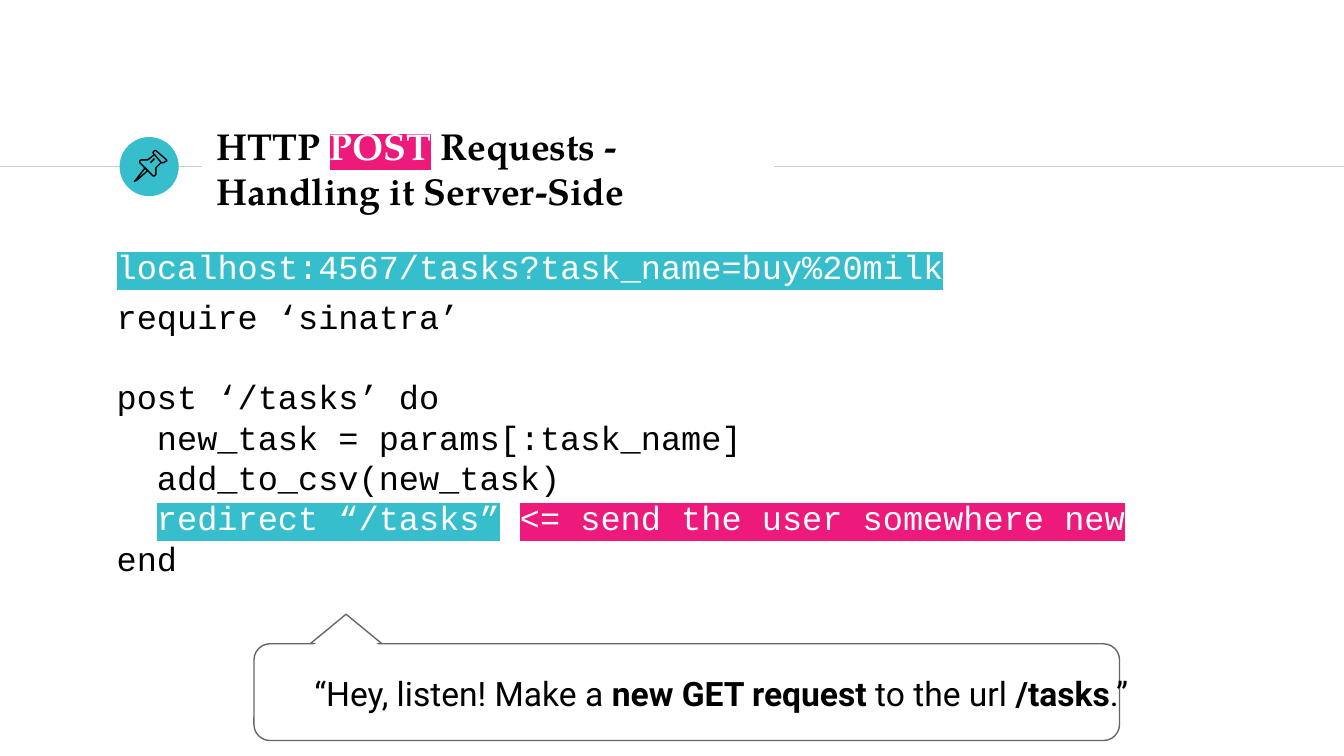
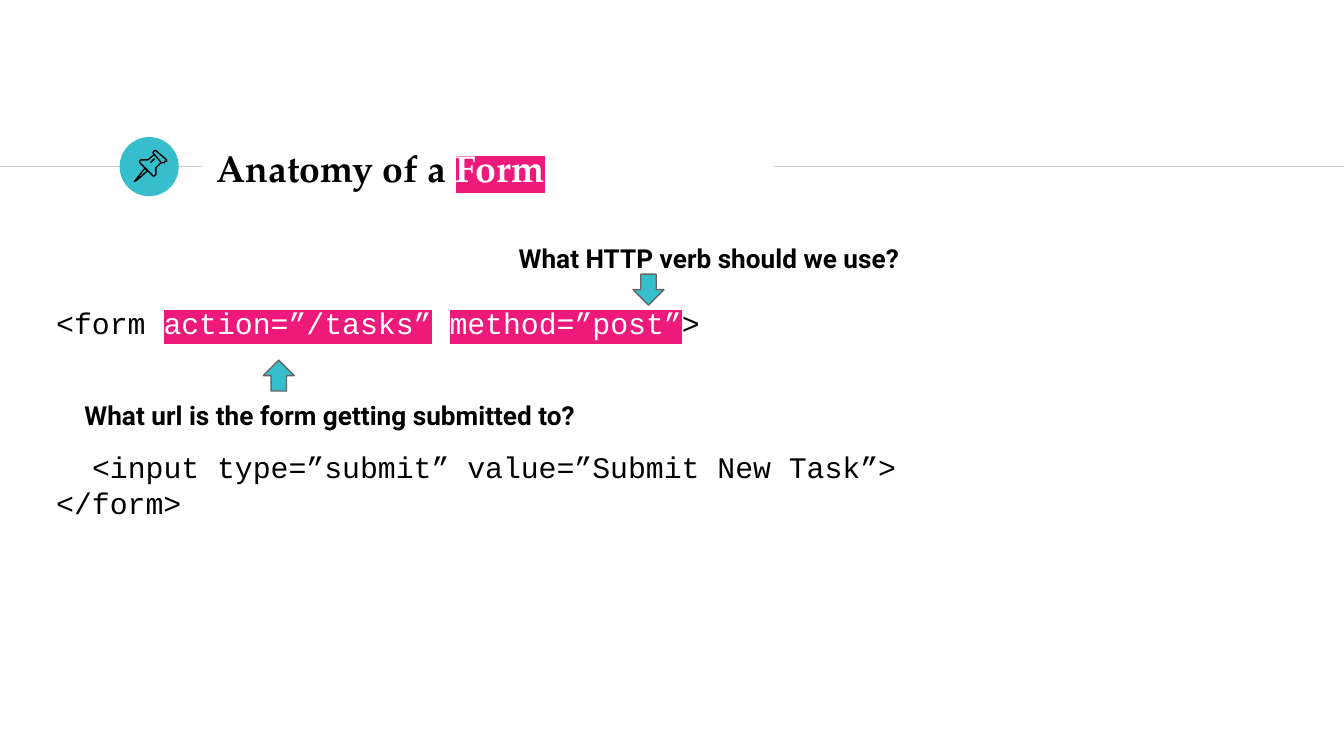
"""Build two slides on form posts and how a server handles them."""
import pptx
import pptx.util
import pptx.dml.color
import pptx.enum.shapes
import pptx.enum.text
import pptx.oxml.ns
import lxml.etree

Inches = pptx.util.Inches
Pt = pptx.util.Pt
RGBColor = pptx.dml.color.RGBColor
Shape = pptx.enum.shapes.MSO_SHAPE
Align = pptx.enum.text.PP_ALIGN
qn = pptx.oxml.ns.qn

TEAL = RGBColor(0x37, 0xBE, 0xCC)
PINK = RGBColor(0xED, 0x19, 0x7B)
BLACK = RGBColor(0, 0, 0)
WHITE = RGBColor(255, 255, 255)
GRAY = RGBColor(0x66, 0x66, 0x66)
PALE = RGBColor(0xCC, 0xCC, 0xCC)

SERIF = "TeX Gyre Pagella"
SANS = "Roboto"
MONO = "Courier New"
BOLD = "bold"

NEEDLE = [(108, 125), (101, 134), (100, 135), (102, 134), (110, 127)]
HEAD = [(115, 115), (120, 121), (122, 121), (123, 120), (124, 120), (124, 119),
        (116, 112), (115, 112), (114, 113), (114, 114)]
BODY = [(115, 115), (110, 119), (107, 119), (105, 119), (104, 120), (104, 121),
        (114, 131), (115, 131), (116, 130), (116, 128), (116, 125), (120, 121)]
SHINE = [(112, 121), (115, 118)]
PIN = [(NEEDLE, True), (HEAD, True), (BODY, False), (SHINE, False)]


class Deck:
    """Hold the deck style and the current slide."""

    def __init__(self):
        self.prs = pptx.Presentation()
        self.prs.slide_width = Inches(10)
        self.prs.slide_height = Inches(10) * 9 // 16
        self.slide = None

    def start(self, *runs):
        """Add a slide with its title, rules and pin badge."""
        self.slide = self.prs.slides.add_slide(self.prs.slide_layouts[5])
        self.rule(0, 1.5)
        self.rule(5.76, 10)
        self.shape(Shape.OVAL, (0.89, 1.02, 0.44, 0.44), TEAL)
        self.pin()
        title = self.slide.shapes.title
        title.left, title.top, title.width, title.height = map(
            Inches, (1.51, 1.01, 4.24, 0.48))
        frame = self.frame(title)
        frame.vertical_anchor = pptx.enum.text.MSO_ANCHOR.MIDDLE
        self.para(frame.paragraphs[0], runs, SERIF, 20, bold=True)

    def rule(self, left, right):
        """Draw a thin rule at title height."""
        line = self.slide.shapes.add_connector(
            pptx.enum.shapes.MSO_CONNECTOR.STRAIGHT,
            Inches(left), Inches(1.24), Inches(right), Inches(1.24))
        line.line.color.rgb = PALE
        line.line.width = Pt(0.75)
        lxml.etree.SubElement(line._element.spPr, qn("a:effectLst"))

    def shape(self, kind, box, fill, edge=None, turn=0):
        """Draw a preset shape with a plain fill."""
        shape = self.slide.shapes.add_shape(kind, *map(Inches, box))
        shape.shadow.inherit = False
        shape.fill.solid()
        shape.fill.fore_color.rgb = fill
        shape.rotation = turn
        self.edge(shape, edge)

    def edge(self, shape, color):
        """Set or clear the outline of a shape."""
        if color is None:
            shape.line.fill.background()
        else:
            shape.line.color.rgb = color
            shape.line.width = Pt(0.75)

    def pin(self):
        """Draw the push pin on the badge."""
        group = self.slide.shapes.add_group_shape()
        for points, close in PIN:
            pen = group.shapes.build_freeform(*points[0], scale=Inches(0.01))
            pen.add_line_segments(points[1:], close=close)
            part = pen.convert_to_shape()
            part.shadow.inherit = False
            part.fill.background()
            self.edge(part, BLACK)

    def frame(self, shape):
        """Give a text frame even insets and wrapping."""
        frame = shape.text_frame
        frame.word_wrap = True
        frame.auto_size = pptx.enum.text.MSO_AUTO_SIZE.NONE
        frame.margin_left = frame.margin_right = Inches(0.1)
        frame.margin_top = frame.margin_bottom = Inches(0.1)
        return frame

    def para(self, para, runs, font, size, bold=False, align=Align.LEFT):
        """Fill a paragraph from plain strings and marked pairs."""
        para.alignment = align
        para.font.name = font
        para.font.size = Pt(size)
        para.font.bold = bold
        para.font.color.rgb = BLACK
        for item in runs:
            text, mark = (item, None) if isinstance(item, str) else item
            run = para.add_run()
            run.text = text
            if mark == BOLD:
                run.font.bold = True
            elif mark is not None:
                run.font.color.rgb = WHITE
                glow = lxml.etree.SubElement(
                    run._r.get_or_add_rPr(), qn("a:highlight"))
                lxml.etree.SubElement(glow, qn("a:srgbClr"), val=str(mark))

    def text(self, box, *runs, font=SANS, size=14, bold=False,
             align=Align.LEFT):
        """Add a text box of one paragraph."""
        frame = self.frame(self.slide.shapes.add_textbox(*map(Inches, box)))
        self.para(frame.paragraphs[0], runs, font, size, bold, align)

    def code(self, box, size, lines):
        """Add code lines, each given as blank lines above, indent, runs."""
        frame = self.frame(self.slide.shapes.add_textbox(*map(Inches, box)))
        for i, (skip, depth, *runs) in enumerate(lines):
            para = frame.add_paragraph() if i else frame.paragraphs[0]
            self.para(para, runs, MONO, size)
            para.space_before = Pt(skip * size * 1.2)
            props = para._p.get_or_add_pPr()
            props.set("marL", str(Pt(depth * size * 1.2)))
            props.set("indent", "0")


deck = Deck()

deck.start("HTTP ", ("POST", PINK), " Requests - Handling it Server-Side")
deck.code((0.77, 2.1, 9.06, 2.34), 18, [
    (0, 0, "require ‘sinatra’"),
    (1, 0, "post ‘/tasks’ do"),
    (0, 1, "new_task = params[:task_name]"),
    (0, 1, "add_to_csv(new_task)"),
    (0, 1, ("redirect “/tasks”", TEAL), " ",
     ("<= send the user somewhere new", PINK)),
    (0, 0, "end"),
])
deck.text((0.77, 1.73, 8.95, 0.48),
          ("localhost:4567/tasks?task_name=buy%20milk", TEAL),
          font=MONO, size=18)
deck.shape(Shape.ISOSCELES_TRIANGLE, (2.15, 4.57, 0.85, 0.35), WHITE, GRAY)
deck.shape(Shape.ROUNDED_RECTANGLE, (1.89, 4.79, 6.44, 0.72), WHITE, GRAY)
deck.shape(Shape.ISOSCELES_TRIANGLE, (2.15, 4.6, 0.85, 0.35), WHITE)
deck.text((2.24, 4.91, 6.26, 0.65),
          "“Hey, listen! Make a ", ("new GET request", BOLD),
          " to the url ", ("/tasks", BOLD), ".”", size=18)

deck.start("Anatomy of a ", ("Form", PINK))
deck.code((0.32, 2.17, 8.65, 2.9), 16, [
    (0, 0, "<form ", ("action=”/tasks”", PINK), " ",
     ("method=”post”", PINK), ">"),
    (3, 1, "<input type=”submit” value=”Submit New Task”>"),
    (0, 0, "</form>"),
])
deck.text((0.53, 2.87, 3.99, 0.48),
          "What url is the form getting submitted to?", bold=True)
deck.shape(Shape.UP_ARROW, (1.96, 2.68, 0.23, 0.23), TEAL, GRAY)
deck.text((3.28, 1.7, 3.99, 0.48), "What HTTP verb should we use?",
          bold=True, align=Align.CENTER)
deck.shape(Shape.UP_ARROW, (4.71, 2.04, 0.23, 0.23), TEAL, GRAY, 180)

deck.prs.save("out.pptx")
